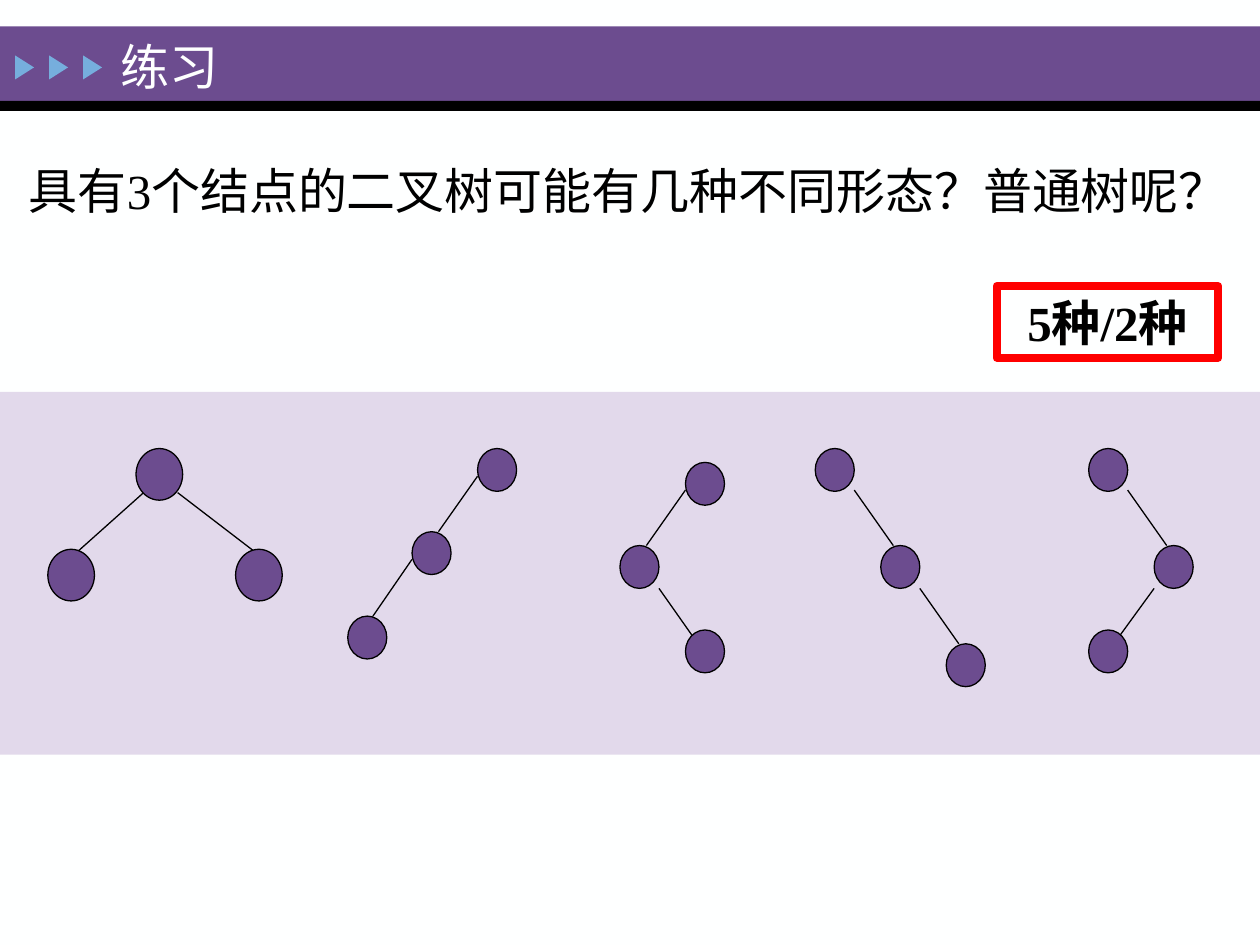
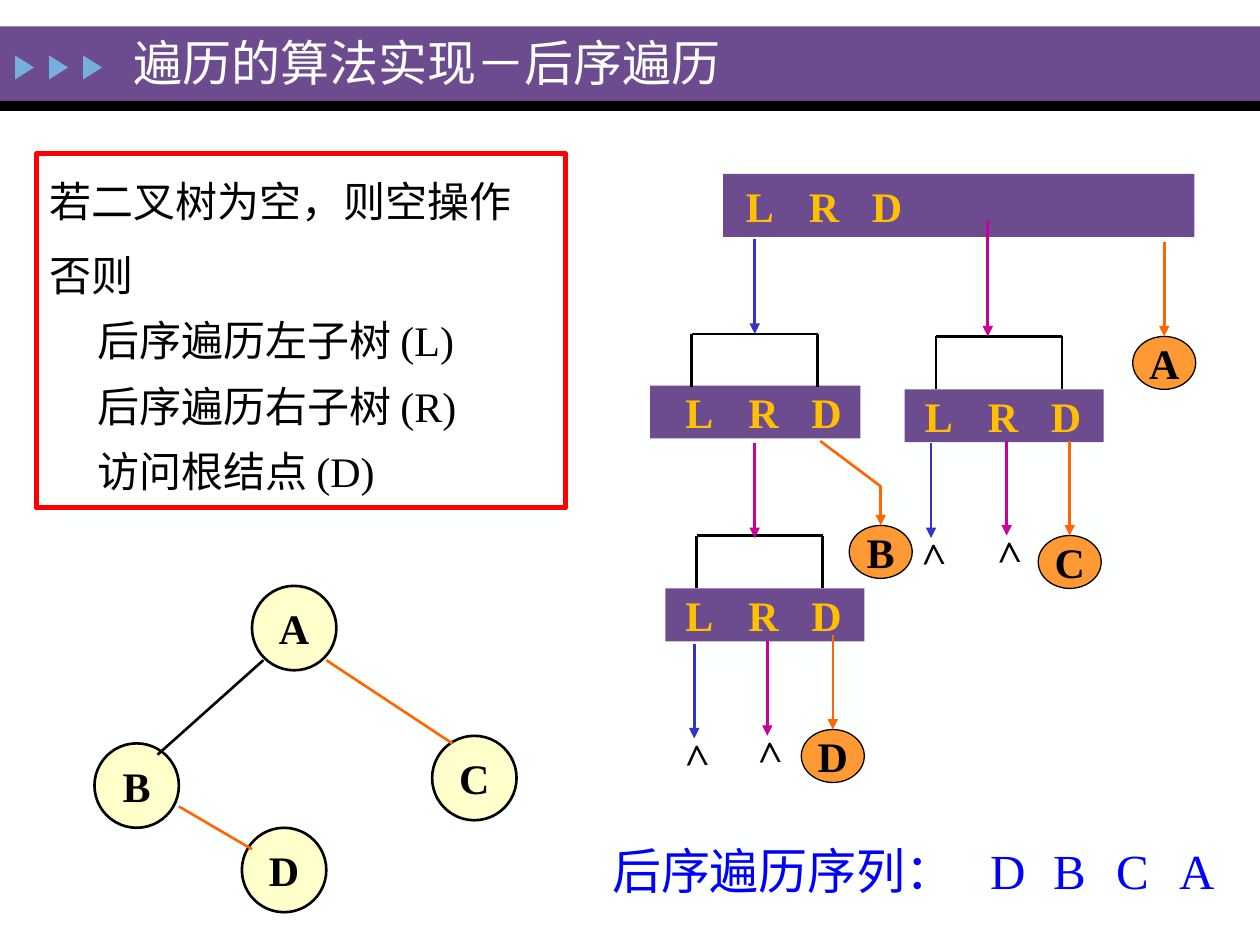
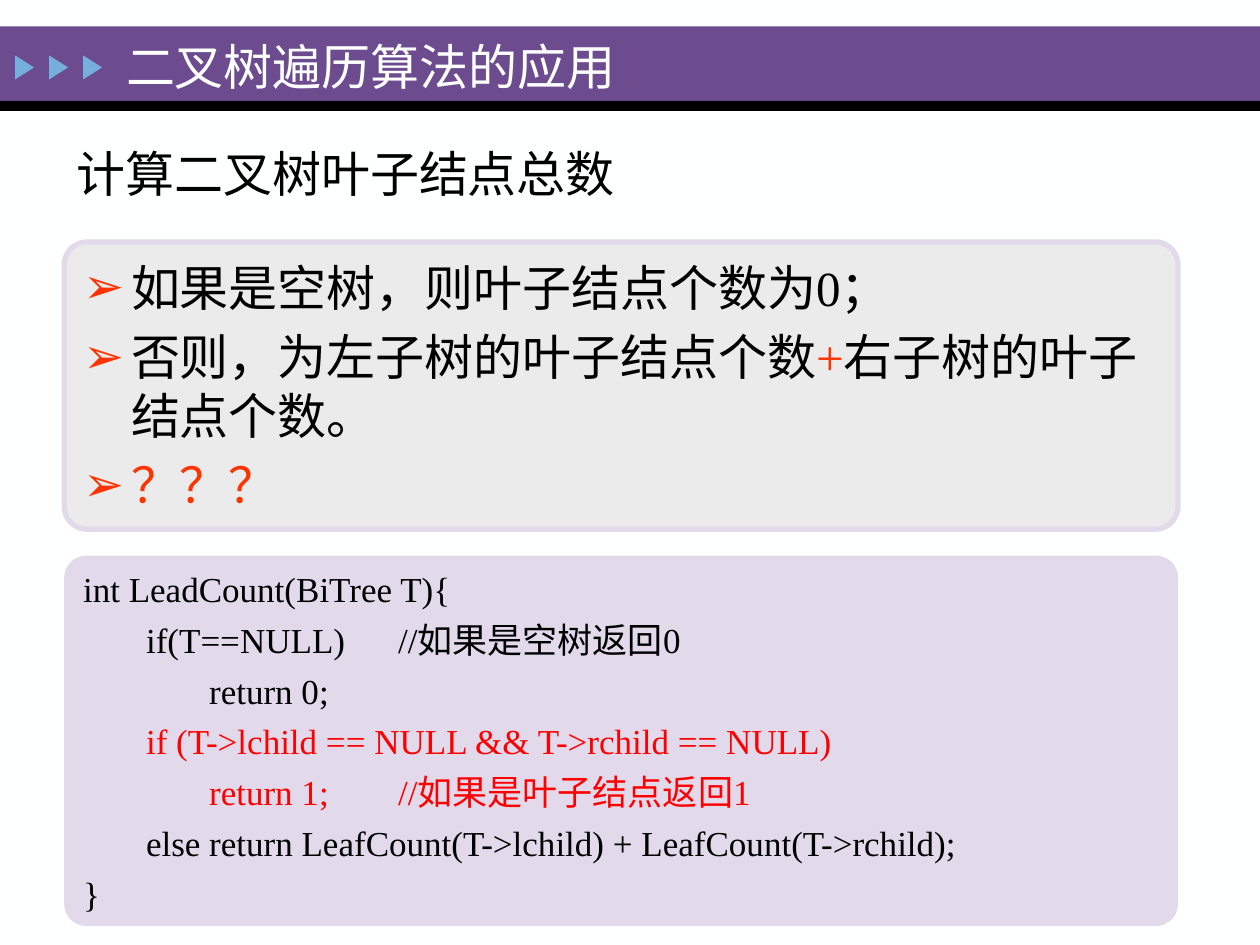
from lxml.etree import SubElement
from pptx import Presentation
from pptx.dml.color import RGBColor
from pptx.enum.shapes import MSO_CONNECTOR, MSO_SHAPE
from pptx.enum.text import MSO_ANCHOR as ANCHOR, MSO_AUTO_SIZE, PP_ALIGN as ALIGN
from pptx.oxml.ns import qn
from pptx.util import Inches, Pt

FONT = "Times New Roman"
PAPER = RGBColor(0xFE, 0xFF, 0xFF)
BLACK = RGBColor(0, 0, 0)
PURPLE = RGBColor(0x6C, 0x4C, 0x8F)
LILAC = RGBColor(0xE2, 0xD9, 0xEB)
SKY = RGBColor(0x76, 0xAE, 0xDD)
GREY = RGBColor(0xEB, 0xEB, 0xEB)
RED = RGBColor(0xFF, 0, 0)
VERMILION = RGBColor(0xFF, 0x33, 0)
GOLD = RGBColor(0xFF, 0xC0, 0)
CREAM = RGBColor(0xFF, 0xFF, 0xCC)
ORANGE = RGBColor(0xFF, 0x99, 0x33)
BLUE = RGBColor(0, 0, 0xFF)
LEFT_CALL = RGBColor(0x33, 0x33, 0xCC)
RIGHT_CALL = RGBColor(0xCC, 0, 0x99)
VISIT = RGBColor(0xFF, 0x66, 0)

NODE = (0.31, 0.34)
WIDE_NODE = (0.37, 0.41)
# node size, node corners, edges
BINARY_TREES = [
    (WIDE_NODE, [(1.08, 3.56), (0.38, 4.36), (1.87, 4.36)],
     [(1.14, 3.91, 0.58, 4.41), (1.41, 3.91, 2.01, 4.37)]),
    (NODE, [(3.79, 3.56), (3.27, 4.22), (2.76, 4.89)],
     [(3.79, 3.78, 3.48, 4.22), (3.27, 4.44, 2.96, 4.89)]),
    (NODE, [(5.44, 3.67), (4.92, 4.33), (5.44, 5)],
     [(5.44, 3.89, 5.13, 4.33), (5.23, 4.67, 5.54, 5.11)]),
    (NODE, [(6.47, 3.56), (6.99, 4.33), (7.51, 5.11)],
     [(6.78, 3.89, 7.09, 4.33), (7.3, 4.67, 7.61, 5.11)]),
    (NODE, [(8.64, 3.56), (9.16, 4.33), (8.64, 5)],
     [(8.95, 3.89, 9.26, 4.33), (9.16, 4.67, 8.84, 5.11)]),
]


def write(shape, lines, size, color=BLACK, bold=False, align=ALIGN.LEFT,
          anchor=ANCHOR.MIDDLE, before=0, spacing=None, indent=0,
          bullet_color=None, stops=(), wrap=True):
    """Fill a shape with lines; a line is a string or a list of (text, colour)."""
    frame = shape.text_frame
    frame.auto_size = MSO_AUTO_SIZE.NONE
    frame.word_wrap = wrap
    frame.vertical_anchor = anchor
    for number, line in enumerate(lines):
        paragraph = frame.add_paragraph() if number else frame.paragraphs[0]
        runs = [(line, color)] if isinstance(line, str) else line
        if isinstance(line, str):
            paragraph.text = line
        else:
            for text, run_color in runs:
                run = paragraph.add_run()
                run.text = text
                run.font.color.rgb = run_color
        set_indent(paragraph, indent, bullet_color, stops)
        paragraph.alignment = align
        paragraph.space_before = Pt(before)
        if spacing:
            paragraph.line_spacing = spacing
        font = paragraph.font
        font.name, font.size, font.bold = FONT, Pt(size), bold
        font.color.rgb = runs[0][1]


def set_indent(paragraph, indent, bullet_color, stops):
    """Set the hanging indent, the bullet and the tab stops."""
    properties = paragraph._p.get_or_add_pPr()
    properties.set("marL", str(Inches(indent)))
    properties.set("indent", str(Inches(-indent)))
    if bullet_color is None:
        SubElement(properties, qn("a:buNone"))
    else:
        tint = SubElement(properties, qn("a:buClr"))
        SubElement(tint, qn("a:srgbClr"), val=str(bullet_color))
        SubElement(properties, qn("a:buChar"), char="➢")
    if stops:
        tabs = SubElement(properties, qn("a:tabLst"))
        for stop in stops:
            SubElement(tabs, qn("a:tab"), pos=str(Inches(stop)), algn="l")


def place(shape, left, top, width, height):
    shape.left, shape.top = Inches(left), Inches(top)
    shape.width, shape.height = Inches(width), Inches(height)
    return shape


def outline(shape, color, weight):
    shape.line.color.rgb = color
    shape.line.width = Pt(weight)


def add_block(slide, kind, box, fill=None, line=None, weight=0.75):
    shape = slide.shapes.add_shape(kind, *map(Inches, box))
    shape.shadow.inherit = False
    if fill is None:
        shape.fill.background()
    else:
        shape.fill.solid()
        shape.fill.fore_color.rgb = fill
    if line is None:
        shape.line.fill.background()
    else:
        outline(shape, line, weight)
    return shape


def add_text(slide, box, lines, size, **style):
    text_box = slide.shapes.add_textbox(*map(Inches, box))
    write(text_box, lines, size, **style)
    return text_box


def add_line(slide, x1, y1, x2, y2, color=BLACK, weight=1.5, arrow=False):
    line = slide.shapes.add_connector(
        MSO_CONNECTOR.STRAIGHT, *map(Inches, (x1, y1, x2, y2)))
    outline(line, color, weight)
    if arrow:
        SubElement(line.line._get_or_add_ln(), qn("a:tailEnd"), type="triangle")
    SubElement(line.element.spPr, qn("a:effectLst"))
    return line


def add_circle(slide, letter, box, fill, weight):
    circle = add_block(slide, MSO_SHAPE.OVAL, box, fill, BLACK, weight)
    write(circle, [letter], 24, bold=True, align=ALIGN.CENTER, wrap=False)
    return circle


def add_call(slide, left, top, width, height, letters):
    """Draw a purple L R D bar; letters holds each letter's offset."""
    bar = add_block(slide, MSO_SHAPE.RECTANGLE, (left, top, width, height), PURPLE)
    bar.text_frame.margin_left = Inches(letters[0])
    bar.text_frame.margin_right = 0
    write(bar, ["L\tR\tD"], 24, GOLD, bold=True,
          stops=[offset - letters[0] for offset in letters[1:]])


def add_bracket(slide, left, top):
    right, bottom = left + 1, top + 0.42
    add_line(slide, left, top, right, top)
    for x in (left, right):
        add_line(slide, x, top, x, bottom)


def add_visit(slide, letter, center, top, start):
    """Draw a visited node and the arrow that falls on it."""
    circle = add_circle(slide, letter, (center - 0.25, top, 0.5, 0.42), ORANGE, 0.75)
    arrow = add_line(slide, center, start, center, top, VISIT, arrow=True)
    arrow.end_connect(circle, 0)


def add_empty_call(slide, x, top, color):
    """Draw an arrow to the sign for an empty subtree."""
    sign = add_text(slide, (x - 0.21, top + 0.62, 0.42, 0.5), [">"], 24,
                    bold=True, anchor=ANCHOR.TOP, before=14)
    sign.rotation = 268.3
    add_line(slide, x, top, x, top + 0.75, color, arrow=True)


def add_slide(prs, title, title_box):
    slide = prs.slides.add_slide(prs.slide_layouts[1])
    write(place(slide.shapes.title, *title_box), [title], 28, PAPER)
    return slide


def add_header(slide, layout):
    """Draw the title band and hand it to the layout that all slides share."""
    for placeholder in list(layout.placeholders)[2:]:
        layout.shapes.element.remove(placeholder.element)
    parts = [add_block(slide, MSO_SHAPE.RECTANGLE, (0, 0.21, 10, 0.59), PURPLE),
             add_block(slide, MSO_SHAPE.RECTANGLE, (0, 0.8, 10, 0.08), BLACK)]
    for step in range(3):
        marker = add_block(slide, MSO_SHAPE.ISOSCELES_TRIANGLE,
                           (0.1 + 0.27 * step, 0.46, 0.19, 0.15), SKY)
        marker.rotation = 90
        parts.append(marker)
    for part in parts:
        layout.shapes.element.append(part.element)


def build_exercise(prs):
    slide = add_slide(prs, "练习", (0.86, 0.15, 2.56, 0.75))
    add_header(slide, prs.slide_layouts[1])
    question = place(slide.placeholders[1], 0.13, 1.22, 10, 0.57)
    write(question, ["具有3个结点的二叉树可能有几种不同形态？普通树呢？"], 28,
          anchor=ANCHOR.TOP, before=6)
    answer = add_block(slide, MSO_SHAPE.RECTANGLE, (7.91, 2.27, 1.76, 0.57),
                       line=RED, weight=4.5)
    write(answer, ["5种/2种"], 28, bold=True, align=ALIGN.CENTER, before=6, wrap=False)
    add_block(slide, MSO_SHAPE.RECTANGLE, (0, 3.11, 10, 2.88), LILAC)
    for size, nodes, edges in BINARY_TREES:
        for edge in edges:
            add_line(slide, *edge, weight=0.75)
        for corner in nodes:
            add_block(slide, MSO_SHAPE.OVAL, corner + size, PURPLE, BLACK)


def build_postorder(prs):
    slide = add_slide(prs, "遍历的算法实现－后序遍历", (0.96, 0.21, 6.44, 0.56))
    rules = place(slide.placeholders[1], 0.29, 1.22, 4.2, 2.81)
    outline(rules, RED, 3)
    write(rules, ["若二叉树为空，则空操作",
                  "否则\v后序遍历左子树 (L)\v后序遍历右子树 (R)\v访问根结点 (D)"],
          24, anchor=ANCHOR.TOP, before=5, spacing=1.3, indent=0.38)

    for letter, left, top in (("A", 2, 4.65), ("B", 0.75, 5.9),
                              ("C", 3.43, 5.84), ("D", 1.92, 6.57)):
        add_circle(slide, letter, (left, top, 0.67, 0.67), CREAM, 1.5)
    add_line(slide, 2.09, 5.24, 1.25, 5.99)
    add_line(slide, 2.59, 5.24, 3.59, 5.9, VISIT)
    add_line(slide, 1.42, 6.4, 2, 6.74, VISIT)

    leaf_letters = (0.16, 0.7, 1.19)
    add_call(slide, 5.74, 1.38, 3.74, 0.5, (0.18, 1.97, 3.37))
    add_call(slide, 5.16, 3.06, 1.67, 0.42, (0.28, 0.65, 1.14))
    add_call(slide, 5.28, 4.67, 1.58, 0.42, leaf_letters)
    add_call(slide, 7.18, 3.09, 1.58, 0.42, leaf_letters)
    for left, top in ((5.49, 2.65), (5.53, 4.25), (7.43, 2.67)):
        add_bracket(slide, left, top)
    add_line(slide, 5.99, 1.9, 5.99, 2.65, LEFT_CALL, arrow=True)
    add_line(slide, 7.84, 1.75, 7.84, 2.67, RIGHT_CALL, arrow=True)
    add_line(slide, 5.99, 3.52, 5.99, 4.27, RIGHT_CALL, arrow=True)
    for x, top, color in ((5.51, 5.11, LEFT_CALL), (6.09, 5.09, RIGHT_CALL),
                          (7.39, 3.52, LEFT_CALL), (7.99, 3.5, RIGHT_CALL)):
        add_empty_call(slide, x, top, color)
    for letter, center, top, start in (("A", 9.24, 2.67, 1.92), ("B", 6.99, 4.17, 3.86),
                                       ("C", 8.49, 4.25, 3.5), ("D", 6.61, 5.79, 5.04)):
        add_visit(slide, letter, center, top, start)
    add_line(slide, 6.51, 3.5, 6.99, 3.86, VISIT)

    add_text(slide, (4.76, 6.62, 5.2, 0.57), ["后序遍历序列：\tD\tB\tC\tA"], 28,
             color=BLUE, anchor=ANCHOR.TOP, stops=(2.9, 3.47, 3.92, 4.36))


def build_leaf_count(prs):
    slide = add_slide(prs, "二叉树遍历算法的应用", (0.9, 0.24, 7.27, 0.56))
    add_text(slide, (0.51, 1.09, 6.53, 0.57), ["计算二叉树叶子结点总数"], 28)

    panel = add_block(slide, MSO_SHAPE.ROUNDED_RECTANGLE, (0.51, 1.92, 8.84, 2.28),
                      GREY, LILAC, 3)
    panel.adjustments[0] = 0.08
    cases = place(slide.placeholders[1], 0.56, 1.97, 8.74, 2.18)
    panel.element.addnext(cases.element)
    write(cases, ["如果是空树，则叶子结点个数为0；",
                  [("否则，为左子树的叶子结点个数", BLACK), ("+", VERMILION),
                   ("右子树的叶子结点个数。", BLACK)],
                  [("？？？", VERMILION)]],
          28, before=6, indent=0.38, bullet_color=VERMILION)

    code = add_block(slide, MSO_SHAPE.ROUNDED_RECTANGLE, (0.51, 4.41, 8.84, 2.94), LILAC)
    code.adjustments[0] = 0.06
    write(code, ["int LeadCount(BiTree T){",
                 "\tif(T==NULL)\t//如果是空树返回0",
                 "\t\treturn 0;",
                 [("\tif (T->lchild == NULL && T->rchild == NULL)", RED)],
                 [("\t\treturn 1;\t\t//如果是叶子结点返回1", RED)],
                 "\telse return LeafCount(T->lchild) + LeafCount(T->rchild);",
                 "}"],
          20, before=5, stops=(0.38, 1.38, 2.38, 3.16))


def main():
    prs = Presentation()
    prs.slide_width, prs.slide_height = Inches(10), Inches(7.5)
    backdrop = prs.slide_master.background.fill
    backdrop.solid()
    backdrop.fore_color.rgb = PAPER
    build_exercise(prs)
    build_postorder(prs)
    build_leaf_count(prs)
    prs.save("out.pptx")


if __name__ == "__main__":
    main()
